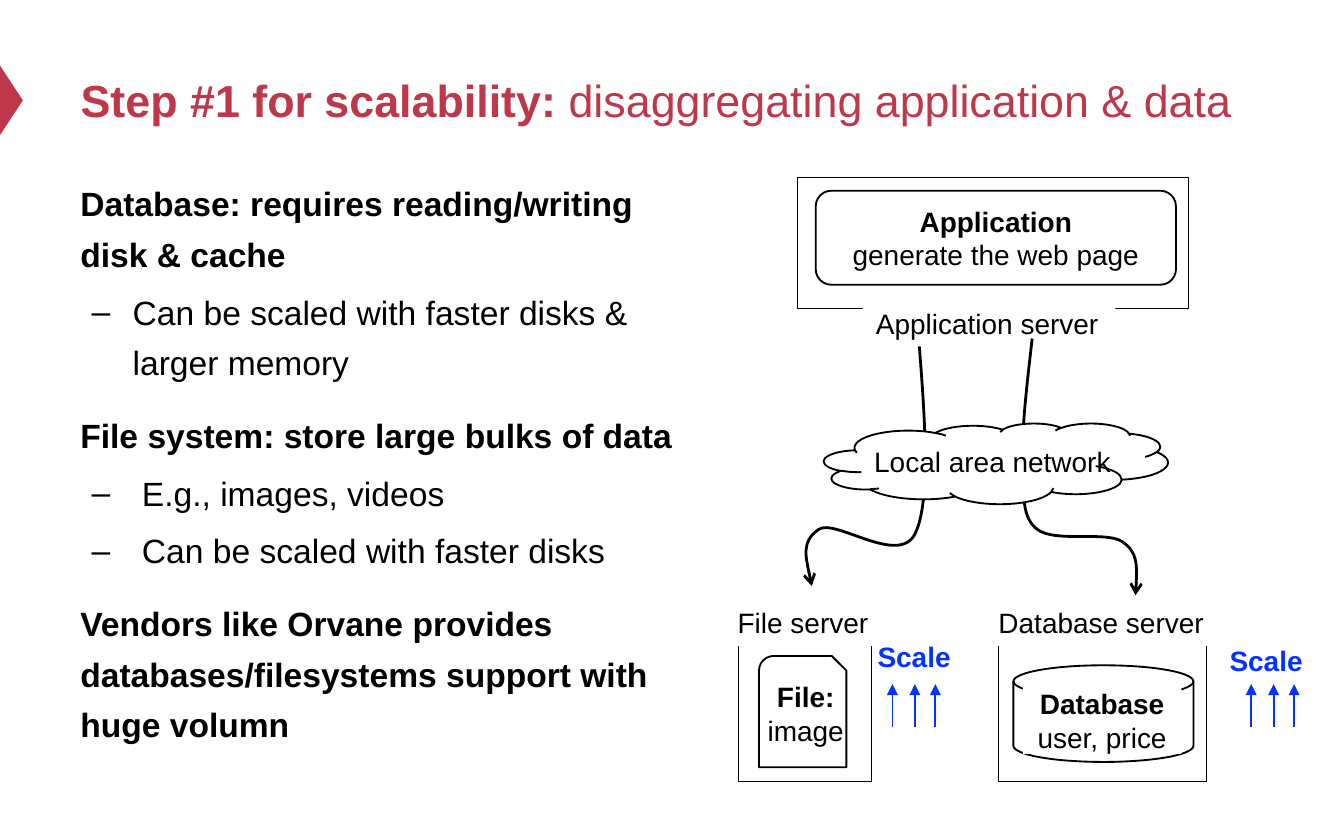
"""Build a slide on separating application and data servers for scalability."""
from lxml.etree import SubElement
from pptx import Presentation
from pptx.dml.color import RGBColor as RGB
from pptx.enum.shapes import MSO_CONNECTOR as CONN, MSO_SHAPE as SHAPE
from pptx.enum.text import MSO_ANCHOR as ANCHOR, MSO_AUTO_SIZE as AUTO, PP_ALIGN as ALIGN
from pptx.oxml.ns import qn
from pptx.util import Pt

COLORS = {"red": "BE384B", "black": "000000", "white": "FFFFFF", "blue": "0432FF"}


class Deck:
    """Hold the style and the current slide."""

    def __init__(self, prs, font="Arial"):
        """Add a title-only slide."""
        self.s = prs.slides.add_slide(prs.slide_layouts[5])
        self.font = font

    def rgb(self, name):
        """Return a named colour."""
        return RGB.from_string(COLORS[name])

    def run(self, p, text, size=15, bold=False, color="black"):
        """Add a formatted run to a paragraph."""
        r = p.add_run()
        r.text = text
        for key, value in {"name": self.font, "size": Pt(size), "bold": bold}.items():
            setattr(r.font, key, value)
        r.font.color.rgb = self.rgb(color)

    def fill_text(self, sp, lines, align=ALIGN.LEFT, anchor=ANCHOR.TOP, wrap=True, color="black"):
        """Write (text, bold) lines into a shape."""
        tf = sp.text_frame
        for key, value in {"word_wrap": wrap, "vertical_anchor": anchor}.items():
            setattr(tf, key, value)
        for i, (text, bold) in enumerate(lines):
            p = tf.add_paragraph() if i else tf.paragraphs[0]
            p.alignment = align
            self.run(p, text, bold=bold, color=color)

    def title(self, box, parts):
        """Place the title and write its (text, bold) parts."""
        sp = self.s.shapes.title
        for key, value in zip(("left", "top", "width", "height"), box):
            setattr(sp, key, Pt(value))
        tf = sp.text_frame
        for key, value in {"vertical_anchor": ANCHOR.MIDDLE, "auto_size": AUTO.NONE, "word_wrap": True}.items():
            setattr(tf, key, value)
        p = tf.paragraphs[0]
        p.alignment = ALIGN.LEFT
        for text, bold in parts:
            self.run(p, text, 24, bold, "red")

    def body(self, box, items):
        """Write headings and dashed items given as (text, left margin)."""
        tf = self.s.shapes.add_textbox(*map(Pt, box)).text_frame
        tf.word_wrap = True
        for i, (text, margin) in enumerate(items):
            p = tf.add_paragraph() if i else tf.paragraphs[0]
            p.line_spacing = 1.25
            if i:
                p.space_before = Pt(4 if margin else 12)
            if margin:
                pPr = p._p.get_or_add_pPr()
                pPr.set("marL", str(Pt(margin)))
                pPr.set("indent", str(Pt(6 - margin)))
                SubElement(pPr, qn("a:buFont")).set("typeface", self.font)
                SubElement(pPr, qn("a:buChar")).set("char", "–")
            self.run(p, text, 18, not margin)

    def shape(self, kind, box, fill="white", line=None, **text):
        """Add a preset shape, with text when lines are given."""
        sp = self.s.shapes.add_shape(kind, *map(Pt, box))
        sp.shadow.inherit = False
        if fill:
            sp.fill.solid()
            sp.fill.fore_color.rgb = self.rgb(fill)
        else:
            sp.fill.background()
        if line:
            self.stroke(sp, line)
        else:
            sp.line.fill.background()
        if text:
            self.fill_text(sp, **text)
        return sp

    def text(self, box, lines, **style):
        """Add a text box."""
        self.fill_text(self.s.shapes.add_textbox(*map(Pt, box)), lines, **style)

    def label(self, box, text):
        """Add a white one-line server label."""
        self.shape(SHAPE.RECTANGLE, box, lines=[(text, False)], wrap=False)

    def stroke(self, sp, width, color="black", tail=None):
        """Format a line and its arrowhead."""
        sp.line.color.rgb = self.rgb(color)
        sp.line.width = Pt(width)
        if tail:
            ln = sp._element.spPr.find(qn("a:ln"))
            SubElement(ln, qn("a:tailEnd")).set("type", tail)

    def curve(self, points):
        """Draw a Bezier arrow from a start point and control triplets."""
        pts = [(Pt(x), Pt(y)) for x, y in points]
        fb = self.s.shapes.build_freeform(*pts[0])
        fb.add_line_segments(pts[1:], close=False)
        sp = fb.convert_to_shape()
        sp.shadow.inherit = False
        sp.fill.background()
        self.stroke(sp, 1.5, tail="arrow")
        path = next(sp._element.iter(qn("a:path")))
        segs = path.findall(qn("a:lnTo"))
        for i in range(0, len(segs), 3):
            bez = SubElement(path, qn("a:cubicBezTo"))
            for seg in segs[i:i + 3]:
                bez.append(seg[0])
                path.remove(seg)

    def scale(self, x, y, arrow_x):
        """Add a Scale caption with three upward arrows."""
        for dx in (0, 12, 23):
            cx = self.s.shapes.add_connector(
                CONN.STRAIGHT, Pt(arrow_x + dx), Pt(389.5), Pt(arrow_x + dx), Pt(366.5))
            self.stroke(cx, 1, "blue", "triangle")
            SubElement(cx._element.spPr, qn("a:effectLst"))
        self.text((x, y, 54, 25), [("Scale", True)], wrap=False, color="blue")


def main():
    """Build and save the slide."""
    prs = Presentation()
    prs.slide_width, prs.slide_height = Pt(720), Pt(450)
    d = Deck(prs)
    centered = {"align": ALIGN.CENTER}
    d.shape(SHAPE.ISOSCELES_TRIANGLE, (-13, 47.5, 38, 12.5), "red").rotation = 90
    d.title((36, 18, 648, 70.5), [("Step #1 for scalability: ", True),
                                  ("disaggregating application & data", False)])
    d.body((36, 89.3, 344, 343), [
        ("Database: requires reading/writing disk & cache", 0),
        ("Can be scaled with faster disks & larger memory", 28),
        ("File system: store large bulks of data", 0),
        ("E.g., images, videos", 33),
        ("Can be scaled with faster disks", 33),
        ("Vendors like Orvane provides databases/filesystems support with huge volumn", 0)])

    d.curve([(491.8, 176.4), (495.4, 221), (499, 267.8), (490.3, 285.8), (481.7, 303.8),
             (447.1, 277.2), (438.5, 283.7), (429.1, 290.2), (432.7, 303.1), (434.9, 313.9)])
    d.shape(SHAPE.RECTANGLE, (427, 95, 209.5, 70.5), line=0.5)
    d.shape(SHAPE.ROUNDED_RECTANGLE, (437, 102.2, 193, 50.4), line=1, anchor=ANCHOR.MIDDLE,
            lines=[("Application", True), ("generate the web page", False)], **centered)
    d.label((462.2, 160.6, 135.4, 25), "Application server")

    d.shape(SHAPE.RECTANGLE, (395.5, 341.3, 71.3, 77.5), line=0.5)
    d.shape(SHAPE.SNIP_ROUND_RECTANGLE, (406.6, 351.4, 46.8, 59.6), line=1)
    d.text((396, 360.7, 71.3, 44), [("File:", True), ("image", False)], **centered)
    d.label((388.1, 321.1, 85.7, 25), "File server")

    d.shape(SHAPE.RECTANGLE, (535, 341.3, 111.6, 77.5), line=0.5)
    d.label((527.8, 321.1, 126, 25), "Database server")
    d.curve([(553, 181.4), (550.1, 206.6), (547.2, 231.1), (547.9, 248.4), (548.6, 265.7),
             (547.2, 277.2), (555.8, 283.7), (565.2, 290.9), (592.6, 284.4), (601.2, 290.2),
             (609.8, 295.9), (609.1, 307.4), (608.4, 319)])

    d.shape(SHAPE.CLOUD, (441.4, 226.8, 184.3, 43.2), line=1)
    d.text((444.2, 234.7, 175, 25), [("Local area network", False)], **centered)
    d.scale(651.6, 341.3, 670.3)
    d.scale(463, 339.1, 478.1)
    d.shape(SHAPE.FLOWCHART_MAGNETIC_DISK, (542.9, 356.4, 96.5, 51.8), None, 1)
    d.shape(SHAPE.RECTANGLE, (547.9, 364.3, 85, 39.6),
            lines=[("Database", True), ("user, price", False)], **centered)
    prs.save("out.pptx")


if __name__ == "__main__":
    main()
